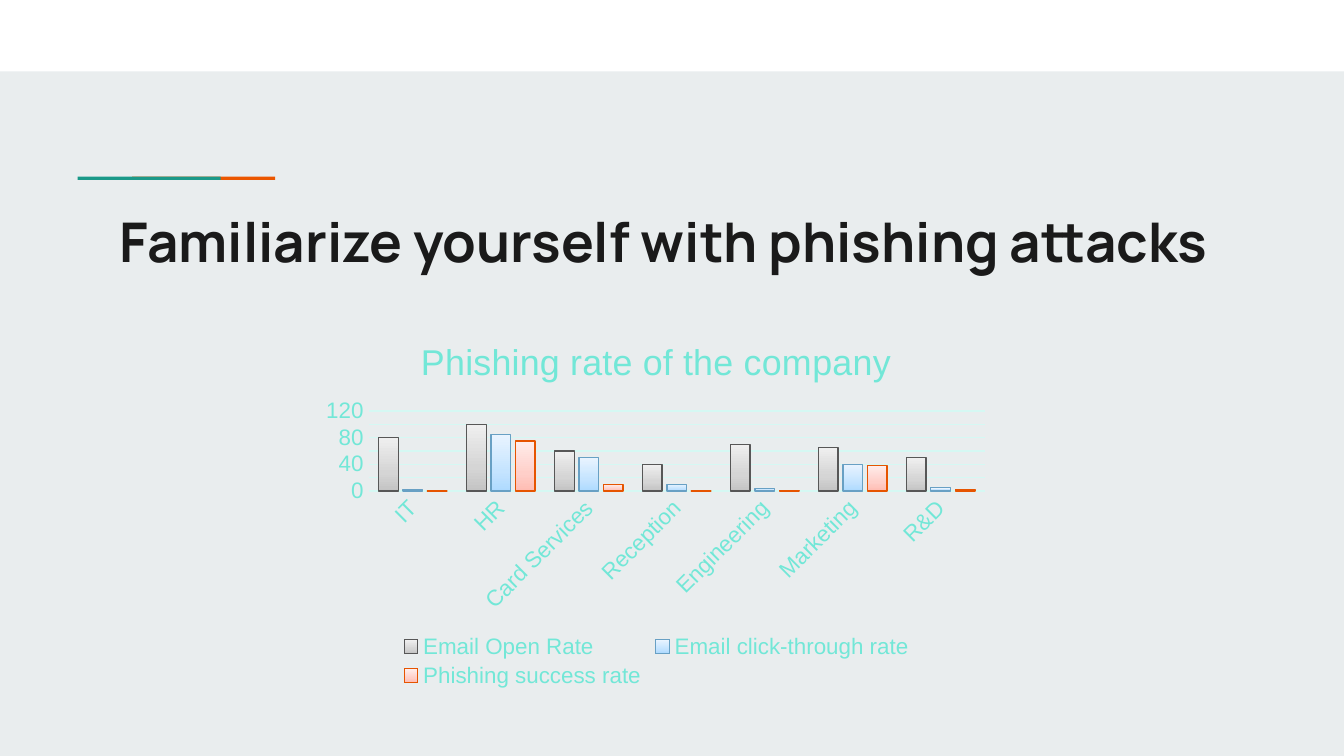
from copy import deepcopy

from pptx import Presentation
from pptx.chart.data import CategoryChartData
from pptx.dml.color import RGBColor
from pptx.enum.chart import XL_CHART_TYPE as ChartType
from pptx.enum.chart import XL_LEGEND_POSITION as LegendPosition
from pptx.enum.chart import XL_TICK_MARK as TickMark
from pptx.enum.shapes import MSO_SHAPE as Shape
from pptx.enum.text import MSO_ANCHOR as Anchor
from pptx.enum.text import MSO_AUTO_SIZE as AutoSize
from pptx.enum.text import PP_ALIGN as Align
from pptx.oxml import parse_xml
from pptx.oxml.ns import nsdecls, qn
from pptx.util import Cm, Pt

COLORS = {
    "background": "E9EDEE",
    "band": "FFFFFF",
    "teal": "1A9988",
    "orange": "EB5600",
    "title": "1A1A1A",
    "chart_text": "72E7D7",
    "grid": "D5F8F3",
}

DEPARTMENTS = ["IT", "HR", "Card Services", "Reception", "Engineering",
               "Marketing", "R&D"]

# Name, values, gradient from bottom to top, outline
SERIES = [
    ("Email Open Rate", (80, 100, 60, 40, 70, 65, 50),
     ("C4C4C4", "D5D5D5", "EFEFEF"), "575757"),
    ("Email click-through rate", (2, 85, 50, 10, 4, 40, 5),
     ("AEDAFF", "C5E4FF", "E9F4FF"), "68A0C4"),
    ("Phishing success rate", (0, 75, 10, 0, 1, 38, 2),
     ("FFBCB3", "FFCFC9", "FFEDEB"), "E65400"),
]
GRADIENT_POSITIONS = (0, 0.35, 1)


def rgb(value):
    return RGBColor.from_string(value)


def format_font(font, size, color, name="Arial", bold=False):
    font.size = Pt(size)
    font.name = name
    font.bold = bold
    font.color.rgb = rgb(color)


def write_text(frame, text, align=Align.LEFT, **style):
    para = frame.paragraphs[0]
    para.alignment = align
    span = para.add_run()
    span.text = text
    format_font(span.font, **style)


def format_line(line, color, width=0.75):
    line.color.rgb = rgb(color)
    line.width = Pt(width)


class SlideBuilder:
    def __init__(self, deck):
        self.page = deck.slides.add_slide(deck.slide_layouts[0])
        self.text_color = COLORS["chart_text"]
        fill = self.page.background.fill
        fill.solid()
        fill.fore_color.rgb = rgb(COLORS["background"])
        subtitle = self.page.placeholders[1].element
        subtitle.getparent().remove(subtitle)

    def bar(self, left, top, width, height, color):
        box = self.page.shapes.add_shape(
            Shape.RECTANGLE, Cm(left), Cm(top), Cm(width), Cm(height))
        box.shadow.inherit = False
        box.fill.solid()
        box.fill.fore_color.rgb = rgb(COLORS[color])
        box.line.fill.background()

    def title(self, text, left, top, width, height):
        box = self.page.shapes.title
        box.left, box.top = Cm(left), Cm(top)
        box.width, box.height = Cm(width), Cm(height)
        frame = box.text_frame
        frame.word_wrap = True
        frame.auto_size = AutoSize.NONE
        frame.vertical_anchor = Anchor.TOP
        frame.margin_left = frame.margin_right = Cm(0.25)
        frame.margin_top = frame.margin_bottom = Cm(0.25)
        write_text(frame, text, size=29.3, color=COLORS["title"],
                   name="Manrope", bold=True)

    def column_chart(self, heading, left, top, width, height):
        data = CategoryChartData()
        data.categories = DEPARTMENTS
        for name, values, *_ in SERIES:
            data.add_series(name, values)
        chart = self.page.shapes.add_chart(
            ChartType.COLUMN_CLUSTERED, Cm(left), Cm(top), Cm(width),
            Cm(height), data).chart
        format_font(chart.font, 10, COLORS["teal"])

        # Heading
        chart.has_title = True
        write_text(chart.chart_title.text_frame, heading,
                   align=Align.CENTER, size=19.2, color=self.text_color)
        chart.chart_title.include_in_layout = False

        # Legend
        chart.has_legend = True
        chart.legend.position = LegendPosition.BOTTOM
        chart.legend.include_in_layout = False
        format_font(chart.legend.font, 12, self.text_color)

        self.axes(chart)
        self.columns(chart.plots[0])
        # Plot area in centimetres, as shares of the chart
        self.plot_area(chart, x=1.05 / width, y=1.78 / height,
                       w=11.64 / width, h=1.51 / height)

    def axes(self, chart):
        for axis in (chart.category_axis, chart.value_axis):
            axis.major_tick_mark = axis.minor_tick_mark = TickMark.NONE
            format_font(axis.tick_labels.font, 12, self.text_color)
        format_line(chart.category_axis.format.line, COLORS["grid"])
        # Slanted department names
        body = chart.category_axis._element.find(qn("c:txPr")).find(qn("a:bodyPr"))
        body.set("rot", "-2700000")
        body.set("vert", "horz")

        values = chart.value_axis
        values.minimum_scale, values.maximum_scale = 0, 120
        values.major_unit = 20
        values.format.line.fill.background()
        values.has_major_gridlines = True
        format_line(values.major_gridlines.format.line, COLORS["grid"])

    def columns(self, plot):
        plot.vary_by_categories = False
        plot.gap_width = 100
        plot.overlap = -24
        for series, (_, _, shades, outline) in zip(plot.series, SERIES):
            series.invert_if_negative = False
            fill = series.format.fill
            fill.gradient()
            fill.gradient_angle = 90
            # The default gradient has two stops; a third is added
            stops = next(series._element.iter(qn("a:gsLst")))
            stops.append(deepcopy(stops[-1]))
            for stop, place, shade in zip(fill.gradient_stops,
                                          GRADIENT_POSITIONS, shades):
                stop.position = place
                stop.color.rgb = rgb(shade)
            format_line(series.format.line, outline)

    def plot_area(self, chart, **place):
        area = next(chart._chartSpace.iter(qn("c:plotArea")))
        for old in area.findall(qn("c:layout")):
            area.remove(old)
        modes = '<c:xMode val="edge"/><c:yMode val="edge"/>'
        sizes = "".join(f'<c:{key} val="{value:.4f}"/>'
                        for key, value in place.items())
        area.insert(0, parse_xml(
            f'<c:layout {nsdecls("c")}><c:manualLayout>'
            f'<c:layoutTarget val="inner"/>{modes}{sizes}'
            f'</c:manualLayout></c:layout>'))


def main():
    deck = Presentation()
    deck.slide_width, deck.slide_height = Cm(25.4), Cm(14.29)
    slide = SlideBuilder(deck)

    # Top band and two overlapping accent lines
    slide.bar(0, 0, 25.4, 1.35, "band")
    slide.bar(2.5, 3.34, 2.7, 0.06, "orange")
    slide.bar(1.47, 3.34, 2.7, 0.06, "teal")

    # Title and chart
    slide.title("Familiarize yourself with phishing attacks",
                2.01, 3.68, 22.3, 4.62)
    slide.column_chart("Phishing rate of the company",
                       5.92, 5.99, 12.98, 7.11)

    deck.save("out.pptx")


if __name__ == "__main__":
    main()
